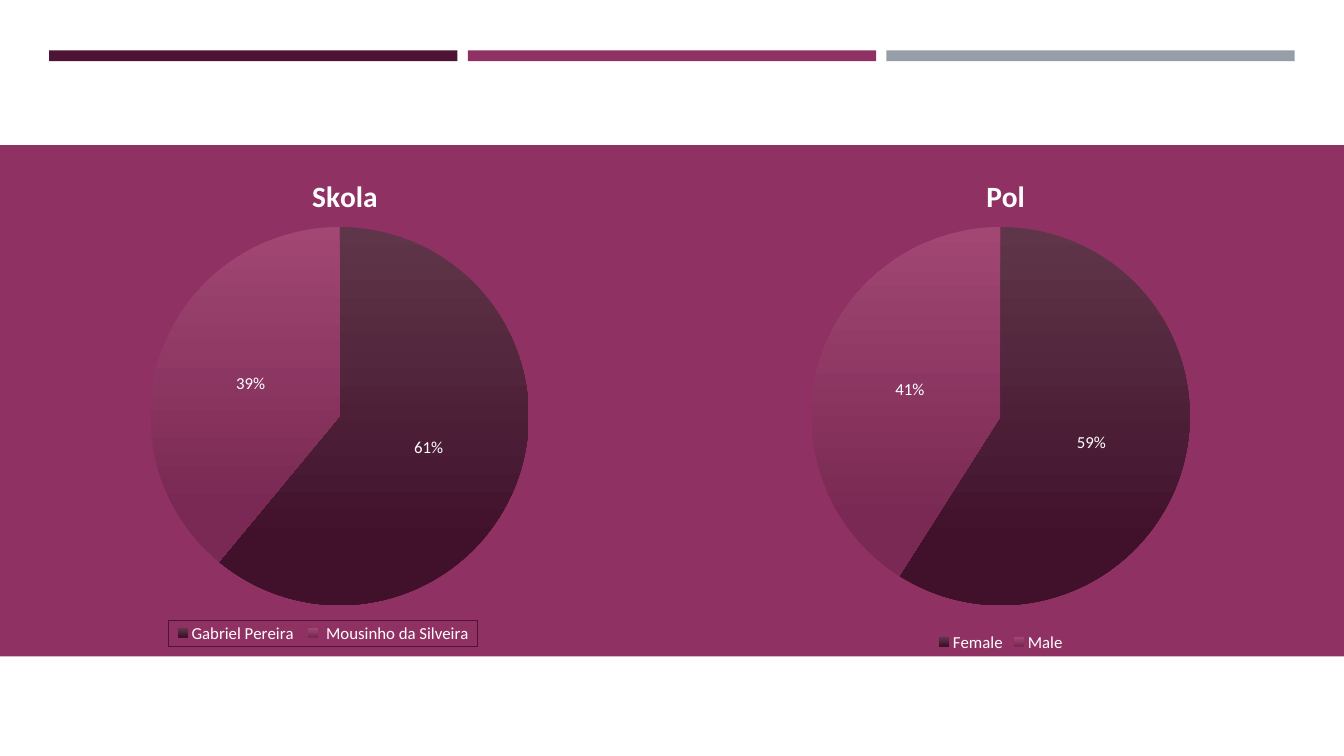
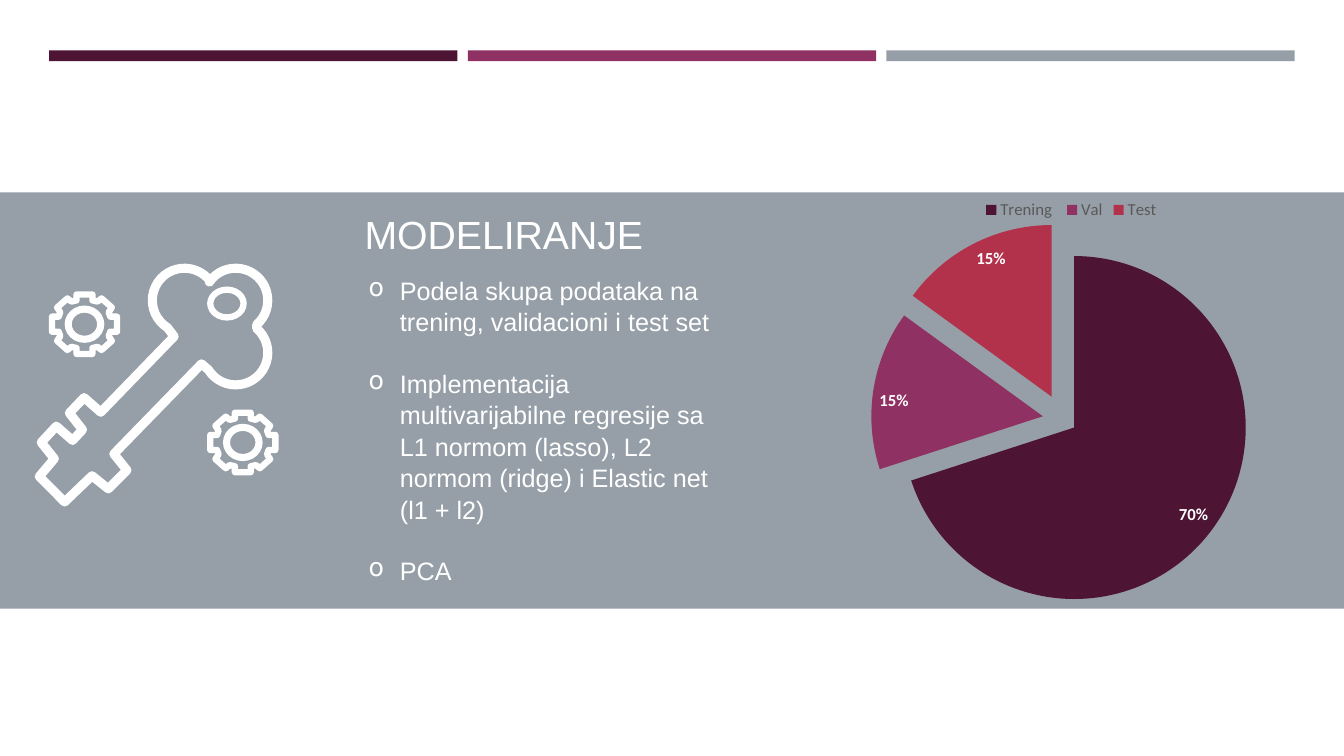
from math import cos, radians, sin

from pptx import Presentation
from pptx.chart.data import CategoryChartData
from pptx.dml.color import RGBColor
from pptx.enum.chart import XL_CHART_TYPE, XL_LABEL_POSITION, XL_LEGEND_POSITION
from pptx.enum.shapes import MSO_SHAPE
from pptx.enum.text import MSO_ANCHOR
from pptx.oxml import parse_xml
from pptx.oxml.ns import nsdecls, qn
from pptx.util import Cm, Pt

PLUM = RGBColor(0x4D, 0x14, 0x34)
BERRY = RGBColor(0x90, 0x31, 0x63)
STEEL = RGBColor(0x96, 0x9F, 0xA7)
RED = RGBColor(0xB2, 0x32, 0x4B)
WHITE = RGBColor(0xFF, 0xFF, 0xFF)
GREY = RGBColor(0x59, 0x59, 0x59)
SHADES = [
    (RGBColor(0x5F, 0x36, 0x49), RGBColor(0x41, 0x11, 0x2C)),
    (RGBColor(0xA2, 0x47, 0x74), RGBColor(0x79, 0x29, 0x53)),
]
WIDE, HIGH = 33.87, 19.05

HEAD = {"name": "Arial", "size": Pt(28)}
BODY = {"name": "Arial", "size": Pt(18)}
NAME = {"name": "Calibri", "size": Pt(21), "bold": True}
NOTE = {"name": "Calibri", "size": Pt(12)}
BOLD = {**NOTE, "bold": True}


def dress(font, tone, look):
    font.color.rgb = tone
    for key, val in look.items():
        setattr(font, key, val)


def place(part, after, x, y, w=None, h=None, inner=False):
    """Give a chart part a manual layout, put before its child 'after'."""
    for old in part.findall(qn("c:layout")):
        part.remove(old)
    rows = [("layoutTarget", "inner")] if inner else []
    rows += [("xMode", "edge"), ("yMode", "edge"), ("x", x), ("y", y)]
    rows += [(key, val) for key, val in (("w", w), ("h", h)) if val]
    body = "".join(f'<c:{key} val="{val}"/>' for key, val in rows)
    part.find(qn(after)).addprevious(parse_xml(
        f'<c:layout {nsdecls("c")}><c:manualLayout>{body}'
        "</c:manualLayout></c:layout>"))


def arc(x, y, r, start, end, count=24):
    step = (end - start) / count
    turns = [radians(start + step * i) for i in range(count + 1)]
    return [(x + r * cos(t), y + r * sin(t)) for t in turns]


class Deck:
    def __init__(self):
        self.prs = Presentation()
        self.prs.slide_width, self.prs.slide_height = Cm(WIDE), Cm(HIGH)
        self.shapes = None

    def page(self):
        """Start a slide with the three bars at its top."""
        self.shapes = self.prs.slides.add_slide(self.prs.slide_layouts[6]).shapes
        for i, tone in enumerate((PLUM, BERRY, STEEL)):
            self.solid(1.24 + 10.55 * i, 1.27, 10.29, 0.27, tone)

    def solid(self, x, y, w, h, tone, kind=MSO_SHAPE.RECTANGLE):
        shape = self.shapes.add_shape(kind, Cm(x), Cm(y), Cm(w), Cm(h))
        shape.shadow.inherit = False
        shape.fill.solid()
        shape.fill.fore_color.rgb = tone
        shape.line.fill.background()
        return shape

    def ring(self, x, y, w, h, thick):
        """Draw a white ring centred on x, y."""
        shape = self.solid(x - w / 2, y - h / 2, w, h, WHITE, MSO_SHAPE.DONUT)
        shape.adjustments[0] = thick / min(w, h)

    def trace(self, dots, width):
        """Draw a closed white outline."""
        ends = [(Cm(x), Cm(y)) for x, y in dots]
        pen = self.shapes.build_freeform(*ends[0])
        pen.add_line_segments(ends[1:], close=True)
        shape = pen.convert_to_shape()
        shape.shadow.inherit = False
        shape.fill.background()
        shape.line.color.rgb = WHITE
        shape.line.width = Pt(width)

    def gear(self, x, y):
        edge = [(0.2, -0.75), (0.2, -0.6), (0.33, -0.57), (0.43, -0.65),
                (0.69, -0.42), (0.61, -0.3), (0.65, -0.19), (0.82, -0.19)]
        half = edge + [(a, -b) for a, b in reversed(edge)]
        full = half + [(-a, b) for a, b in reversed(half)]
        self.trace([(x + a, y + b) for a, b in full], 4.5)
        self.ring(x, y, 1, 0.94, 0.18)

    def key(self):
        shaft = [(4.39, 8.48), (2.54, 10.39), (2.12, 10.02), (1.75, 10.41),
                 (2.08, 10.83), (1.83, 11.1), (1.42, 10.74), (1.04, 11.15),
                 (1.37, 11.56), (0.99, 12.01), (1.63, 12.65), (2.32, 11.99),
                 (2.73, 12.32), (3.2, 11.85), (2.87, 11.44), (5.08, 9.17)]
        lobes = [(5.94, 8.89, 148, -49), (5.94, 7.57, 49, -145),
                 (4.65, 7.57, -36, -238)]
        head = [dot for x, y, start, end in lobes
                for dot in arc(x, y, 0.81, start, end)]
        self.trace(shaft + head, 6.5)
        self.ring(5.72, 7.65, 1, 0.86, 0.16)

    def text(self, x, y, w, h, lines, look, anchor=MSO_ANCHOR.TOP, mark=None):
        frame = self.shapes.add_textbox(Cm(x), Cm(y), Cm(w), Cm(h)).text_frame
        frame.word_wrap = True
        frame.vertical_anchor = anchor
        for i, line in enumerate(lines):
            para = frame.paragraphs[0] if i == 0 else frame.add_paragraph()
            run = para.add_run()
            run.text = line
            dress(run.font, WHITE, look)
            if mark:
                para.line_spacing = 1.04
                para.space_before = Pt(21.6 if i else 0)
                props = para._p.get_or_add_pPr()
                props.set("marL", str(Cm(0.79)))
                props.set("indent", str(-Cm(0.79)))
                props.append(parse_xml(f'<a:buChar {nsdecls("a")} char="{mark}"/>'))

    def pie(self, box, cats, vals, tones, spot, side, tone=WHITE,
            label=XL_LABEL_POSITION.CENTER, look=NOTE):
        data = CategoryChartData()
        data.categories = cats
        data.add_series("Series 1", vals)
        chart = self.shapes.add_chart(
            XL_CHART_TYPE.PIE, *[Cm(n) for n in box], data).chart
        chart.has_title = False
        chart.font.name, chart.font.size = "Calibri", Pt(10)
        chart.has_legend = True
        chart.legend.position = side
        chart.legend.include_in_layout = False
        dress(chart.legend.font, tone, NOTE)
        plot = chart.plots[0]
        plot.vary_by_categories = True
        plot.has_data_labels = True
        tags = plot.data_labels
        tags.show_percentage, tags.show_value = True, False
        tags.number_format, tags.number_format_is_linked = "0%", False
        tags.position = label
        dress(tags.font, WHITE, look)
        for i, paint in enumerate(tones):
            fill = plot.series[0].points[i].format.fill
            if isinstance(paint, RGBColor):
                fill.solid()
                fill.fore_color.rgb = paint
                continue
            fill.gradient()
            fill.gradient_angle = 270
            for stop, shade, at in zip(fill.gradient_stops, paint, (0, 0.84)):
                stop.color.rgb, stop.position = shade, at
        place(plot._element.getparent(), "c:pieChart", *spot, inner=True)
        return chart

    def title(self, chart, words, x, y):
        frame = chart.chart_title.text_frame
        frame.text = words
        dress(frame.paragraphs[0].runs[0].font, WHITE, NAME)
        place(chart.chart_title._element, "c:overlay", x, y)

    def frame(self, chart, *spot):
        """Put the legend in a thin dark box."""
        part = chart.legend._element
        place(part, "c:overlay", *spot)
        part.find(qn("c:overlay")).addnext(parse_xml(
            f'<c:spPr {nsdecls("c", "a")}><a:ln w="9525"><a:solidFill>'
            f'<a:srgbClr val="{PLUM}"/></a:solidFill></a:ln></c:spPr>'))

    def burst(self, chart, gaps):
        """Move each slice out by a percentage of the radius."""
        slices = chart.plots[0].series[0]._element.findall(qn("c:dPt"))
        for item, gap in zip(slices, gaps):
            item.find(qn("c:spPr")).addprevious(
                parse_xml(f'<c:explosion {nsdecls("c")} val="{gap}"/>'))


def main():
    deck = Deck()

    deck.page()
    top, tall = 3.66, 12.88
    deck.solid(0, top, WIDE, tall, BERRY)
    pies = [("Skola", 0.28, ["Gabriel Pereira", " Mousinho da Silveira"], [61, 39], 0.45),
            ("Pol", 16.94, ["Female", "Male"], [59, 41], 0.47)]
    charts = []
    for words, left, cats, vals, start in pies:
        chart = deck.pie((left, top, 16.56, tall), cats, vals, SHADES,
                         (0.21, 0.16, 0.58, 0.74), XL_LEGEND_POSITION.BOTTOM)
        deck.title(chart, words, start, 0.05)
        charts.append(chart)
    deck.frame(charts[0], 0.24, 0.93, 0.47, 0.05)

    deck.page()
    deck.solid(0, 4.85, WIDE, 10.49, STEEL)
    deck.text(8.94, 4.6, 12, 2, ["MODELIRANJE"], HEAD, MSO_ANCHOR.BOTTOM)
    deck.text(9.04, 6.78, 9.27, 8.3, [
        "Podela skupa podataka na trening, validacioni i test set",
        "Implementacija multivarijabilne regresije sa L1 normom (lasso), "
        "L2 normom (ridge) i Elastic net (l1 + l2)",
        "PCA",
    ], BODY, mark="o")
    deck.key()
    for x, y in ((6.12, 11.15), (2.13, 8.17)):
        deck.gear(x, y)
    split = deck.pie((20.14, 4.75, 13.72, 11.53), ["Trening ", "Val", "Test"],
                     [70, 15, 15], (PLUM, BERRY, RED), (0.17, 0.08, 0.63, 0.85),
                     XL_LEGEND_POSITION.TOP, GREY, XL_LABEL_POSITION.INSIDE_END, BOLD)
    deck.burst(split, (8, 12, 15))

    deck.prs.save("out.pptx")


if __name__ == "__main__":
    main()
